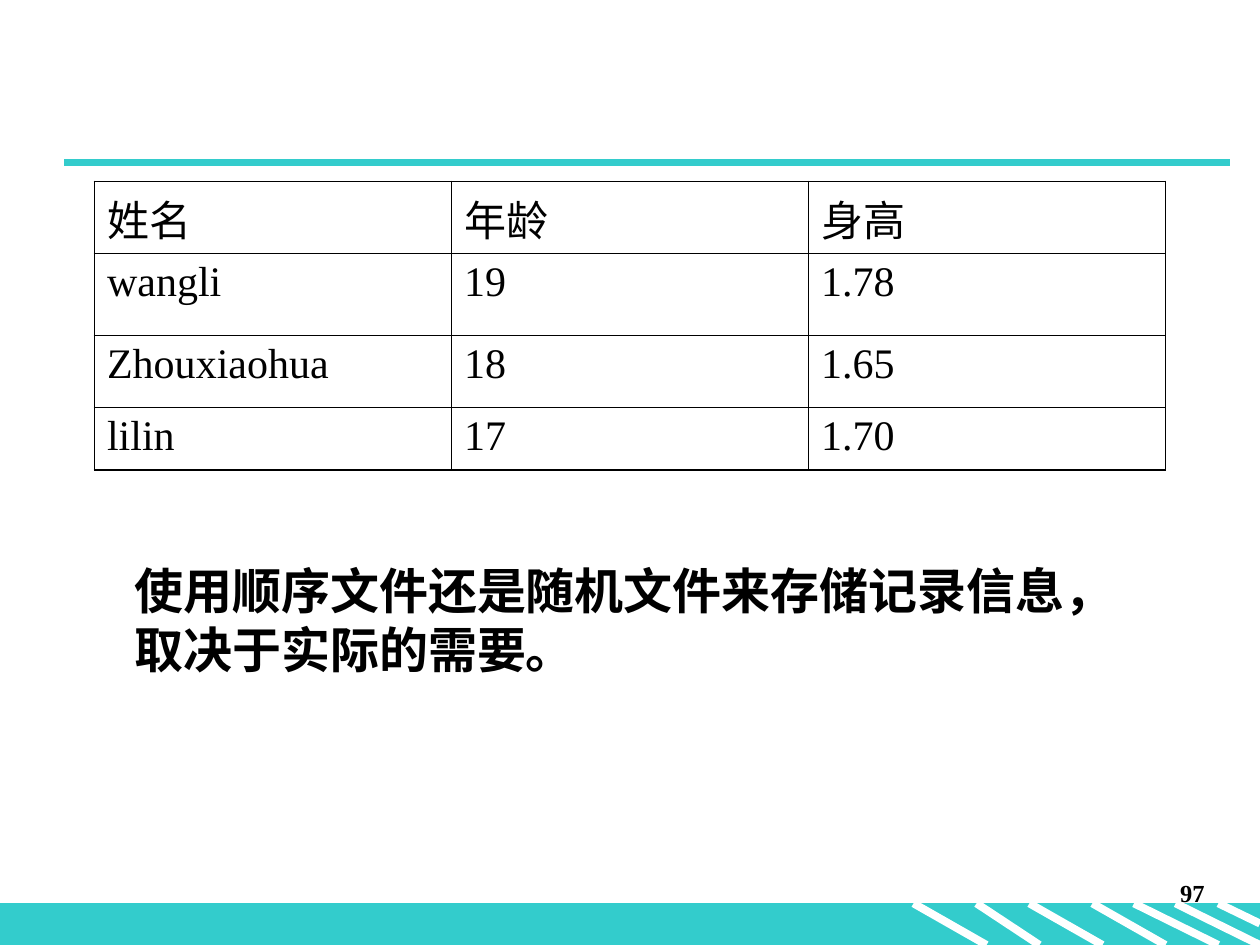
from lxml import etree
from pptx import Presentation
from pptx.dml.color import RGBColor
from pptx.enum.shapes import MSO_CONNECTOR, MSO_SHAPE
from pptx.enum.text import PP_ALIGN
from pptx.oxml import parse_xml
from pptx.oxml.ns import nsdecls, qn
from pptx.util import Inches, Pt

TEAL = RGBColor(0x33, 0xCC, 0xCC)
WHITE = RGBColor(0xFF, 0xFF, 0xFF)
BLACK = RGBColor(0, 0, 0)
FONT = "Times New Roman"
THICK, THIN = 1.08, 0.45

RECORDS = [
    ("姓名", "年龄", "身高"),
    ("wangli", "19", "1.78"),
    ("Zhouxiaohua", "18", "1.65"),
    ("lilin", "17", "1.70"),
]
ROW_HEIGHTS = [0.57, 0.65, 0.57, 0.5]
# Start x, end x and height of each stripe in the footer band
STRIPES = [
    (7.75, 8.25, 0.33), (7.25, 7.83, 0.33), (8.17, 8.75, 0.33),
    (9.33, 10, 0.33), (9, 9.67, 0.33), (9.67, 10, 0.16), (8.67, 9.25, 0.33),
]


def add_line(slide, x1, y1, x2, y2, color):
    line = slide.shapes.add_connector(
        MSO_CONNECTOR.STRAIGHT, Inches(x1), Inches(y1), Inches(x2), Inches(y2))
    line.line.color.rgb = color
    line.line.width = Pt(4.5)
    etree.SubElement(line._element.spPr, qn("a:effectLst"))


def style_text(tf, size, bold=False):
    for p in tf.paragraphs:
        for r in p.runs:
            r.font.name = FONT
            r.font.size = Pt(size)
            r.font.bold = bold
            r.font.color.rgb = BLACK


def add_text(slide, x, y, w, h, text, size):
    tb = slide.shapes.add_textbox(Inches(x), Inches(y), Inches(w), Inches(h))
    tf = tb.text_frame
    tf.word_wrap = True
    tf.text = text
    style_text(tf, size, bold=True)
    return tf.paragraphs[0]


def add_footer(slide, x, y, w, h):
    band = slide.shapes.add_shape(
        MSO_SHAPE.RECTANGLE, Inches(x), Inches(y), Inches(w), Inches(h))
    band.shadow.inherit = False
    band.fill.solid()
    band.fill.fore_color.rgb = TEAL
    band.line.color.rgb = TEAL
    band.line.width = Pt(0.75)
    for start, end, drop in STRIPES:
        add_line(slide, x + start, y, x + end, y + drop, WHITE)


def add_page_number(slide, x, y, w, h):
    p = add_text(slide, x, y, w, h, "97", 14)
    p.alignment = PP_ALIGN.RIGHT


def set_borders(cell, left, right, top, bottom):
    """Give the cell black borders of the given widths in points."""
    tcPr = cell._tc.get_or_add_tcPr()
    sides = (("lnL", left), ("lnR", right), ("lnT", top), ("lnB", bottom))
    for i, (tag, width) in enumerate(sides):
        tcPr.insert(i, parse_xml(
            f'<a:{tag} {nsdecls("a")} w="{Pt(width)}"><a:solidFill>'
            f'<a:srgbClr val="{BLACK}"/></a:solidFill></a:{tag}>'))


def add_record_table(slide, x, y, w, h):
    n_rows, n_cols = len(RECORDS), len(RECORDS[0])
    table = slide.shapes.add_table(
        n_rows, n_cols, Inches(x), Inches(y), Inches(w), Inches(h)).table
    table.first_row = False
    table.horz_banding = False
    for row, height in zip(table.rows, ROW_HEIGHTS):
        row.height = Inches(height)
    for i, record in enumerate(RECORDS):
        for j, value in enumerate(record):
            cell = table.cell(i, j)
            cell.text = value
            style_text(cell.text_frame, 24)
            cell.fill.background()
            set_borders(
                cell,
                left=THICK if j == 0 else THIN,
                right=THICK if j == n_cols - 1 else THIN,
                top=THICK if i == 0 else THIN,
                bottom=THICK if i == n_rows - 1 else THIN)


def add_conclusion(slide, x, y, w, h):
    p = add_text(slide, x, y, w, h,
                 "使用顺序文件还是随机文件来存储记录信息，取决于实际的需要。", 28)
    pPr = p._p.get_or_add_pPr()
    pPr.set("marL", str(Inches(0.38)))
    pPr.set("indent", "0")


def main():
    prs = Presentation()
    prs.slide_width = Inches(10)
    prs.slide_height = Inches(7.5)
    slide = prs.slides.add_slide(prs.slide_layouts[6])
    add_footer(slide, 0, 7.17, 10, 0.33)
    add_line(slide, 0.51, 1.29, 9.76, 1.29, TEAL)
    add_page_number(slide, 7.58, 6.92, 2.08, 0.5)
    add_record_table(slide, 0.75, 1.44, 8.5, sum(ROW_HEIGHTS))
    add_conclusion(slide, 0.59, 4.4, 8.43, 1.04)
    prs.save("out.pptx")


if __name__ == "__main__":
    main()
